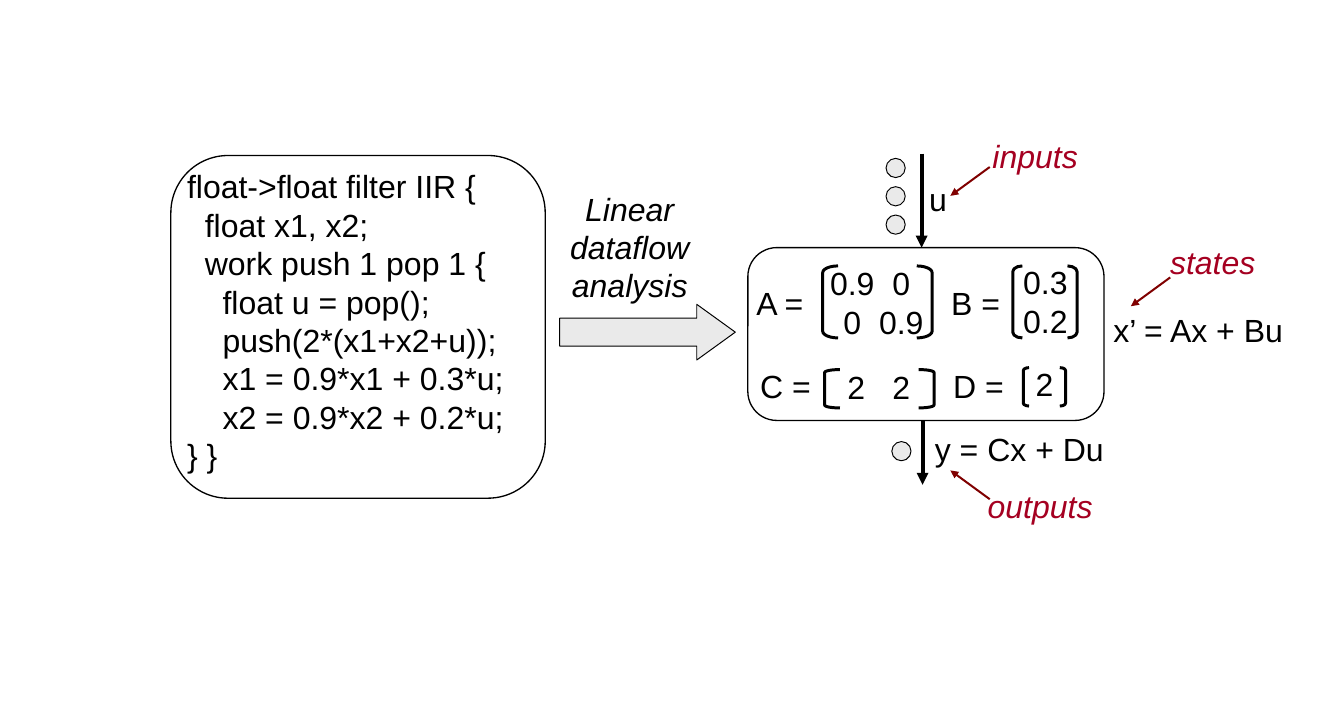
from lxml import etree
from pptx import Presentation
from pptx.dml.color import RGBColor
from pptx.enum.shapes import MSO_CONNECTOR, MSO_SHAPE
from pptx.enum.text import PP_ALIGN
from pptx.oxml.ns import qn
from pptx.util import Inches, Pt

ROUND = MSO_SHAPE.ROUNDED_RECTANGLE
OVAL = MSO_SHAPE.OVAL
ARROW = MSO_SHAPE.RIGHT_ARROW
SIDES = (MSO_SHAPE.LEFT_BRACKET, MSO_SHAPE.RIGHT_BRACKET)
STRAIGHT = MSO_CONNECTOR.STRAIGHT
LEFT, CENTER = PP_ALIGN.LEFT, PP_ALIGN.CENTER

BLACK, GRAY, RED, MAROON = "000000", "EAEAEA", "A50021", "800000"
DOT = 0.2

CODE = """float->float filter IIR {
  float x1, x2;
  work push 1 pop 1 {
    float u = pop();
    push(2*(x1+x2+u));
    x1 = 0.9*x1 + 0.3*u;
    x2 = 0.9*x2 + 0.2*u;
} }"""


def color(hex):
    return RGBColor.from_string(hex)


def add_text(slide, text, x, y, w, h=0.5, tint=BLACK, italic=False,
             align=LEFT, stops=()):
    """Text box; line ends become line breaks, stops are centred tabs."""
    box = slide.shapes.add_textbox(*map(Inches, (x, y, w, h)))
    frame = box.text_frame
    frame.word_wrap = True
    para = frame.paragraphs[0]
    para.text = text
    para.alignment = align
    if stops:
        tabs = etree.SubElement(para._p.get_or_add_pPr(), qn("a:tabLst"))
        for stop in stops:
            etree.SubElement(tabs, qn("a:tab"), pos=str(Inches(stop)), algn="ctr")
    for run in para.runs:
        run.font.name = "Arial"
        run.font.size = Pt(24)
        run.font.italic = italic
        run.font.color.rgb = color(tint)


def add_shape(slide, kind, x, y, w, h, fill=None, line=0.75, adjust=()):
    shape = slide.shapes.add_shape(kind, *map(Inches, (x, y, w, h)))
    shape.shadow.inherit = False
    for i, value in enumerate(adjust):
        shape.adjustments[i] = value
    if fill:
        shape.fill.solid()
        shape.fill.fore_color.rgb = color(fill)
    else:
        shape.fill.background()
    shape.line.color.rgb = color(BLACK)
    shape.line.width = Pt(line)


def add_arrow(slide, start, end, tint=BLACK, width=3):
    link = slide.shapes.add_connector(STRAIGHT, *map(Inches, start + end))
    link.line.color.rgb = color(tint)
    link.line.width = Pt(width)
    etree.SubElement(link.line._get_or_add_ln(), qn("a:tailEnd"), type="triangle")
    etree.SubElement(link._element.spPr, qn("a:effectLst"))


def add_fence(slide, x, y, w, h, depth, curve):
    """Pair of brackets around a matrix."""
    for kind, left in zip(SIDES, (x, x + w - depth)):
        add_shape(slide, kind, left, y, depth, h, line=2.25,
                  adjust=[curve / depth])


def add_note(slide, text, x, y, w, start, end):
    """Red label with a thin pointer."""
    add_text(slide, text, x, y, w, tint=RED, italic=True)
    add_arrow(slide, start, end, tint=MAROON, width=1.5)


def main():
    prs = Presentation()
    prs.slide_width, prs.slide_height = Inches(14), Inches(7.5)
    slide = prs.slides.add_slide(prs.slide_layouts[6])

    # Filter code
    add_shape(slide, ROUND, 1.78, 1.62, 3.9, 3.57, line=1, adjust=[0.167])
    add_text(slide, CODE, 1.85, 1.69, 3.88, 3.7)

    # Analysis step
    add_text(slide, "Linear\ndataflow\nanalysis", 5.76, 1.92, 1.6, 1.3,
             italic=True, align=CENTER)
    add_shape(slide, ARROW, 5.83, 3.17, 1.83, 0.58, fill=GRAY,
              adjust=[0.5, 0.692])

    # State space box with its flow in and out
    add_shape(slide, ROUND, 7.79, 2.58, 3.71, 1.8, line=1, adjust=[0.167])
    add_arrow(slide, (9.6, 1.6), (9.6, 2.58))
    add_arrow(slide, (9.61, 4.39), (9.61, 5.05))
    for row in range(3):
        add_shape(slide, OVAL, 9.23, 1.65 + row * 0.295, DOT, DOT, fill=GRAY)
    add_shape(slide, OVAL, 9.29, 4.6, DOT, DOT, fill=GRAY)

    # Matrix names and equations
    for text, x, y, w in (
        ("A =", 7.78, 2.9, 0.8), ("B =", 9.81, 2.9, 0.8),
        ("C =", 7.82, 3.77, 0.8), ("D =", 9.83, 3.77, 0.8),
        ("u", 9.58, 1.82, 0.5),
        ("x’ = Ax + Bu", 11.5, 3.19, 2.2),
        ("y = Cx + Du", 9.64, 4.43, 2.2),
    ):
        add_text(slide, text, x, y, w)

    # Matrix entries
    add_text(slide, "\t0.9\t0\n\t0\t0.9", 8.53, 2.7, 1.4, 0.9, stops=(0.25, 0.76))
    add_text(slide, "0.3\n0.2", 10.56, 2.69, 0.8, 0.9)
    add_text(slide, "\t2\t2", 8.64, 3.78, 1.1, stops=(0.18, 0.65))
    add_text(slide, "2", 10.69, 3.75, 0.5)

    # Matrix brackets
    for fence in (
        (8.57, 2.77, 1.14, 0.75, 0.16, 0.07),
        (10.55, 2.77, 0.67, 0.75, 0.1, 0.06),
        (8.59, 3.85, 1.14, 0.4, 0.16, 0.03),
        (10.66, 3.83, 0.44, 0.4, 0.06, 0.03),
    ):
        add_fence(slide, *fence)

    # Notes
    add_note(slide, "inputs", 10.24, 1.37, 1.2, (10.31, 1.74), (9.9, 2.04))
    add_note(slide, "states", 12.09, 2.48, 1.2, (12.19, 2.89), (11.78, 3.19))
    add_note(slide, "outputs", 10.19, 5.02, 1.4, (10.31, 5.2), (9.9, 4.9))

    prs.save("out.pptx")


if __name__ == "__main__":
    main()
